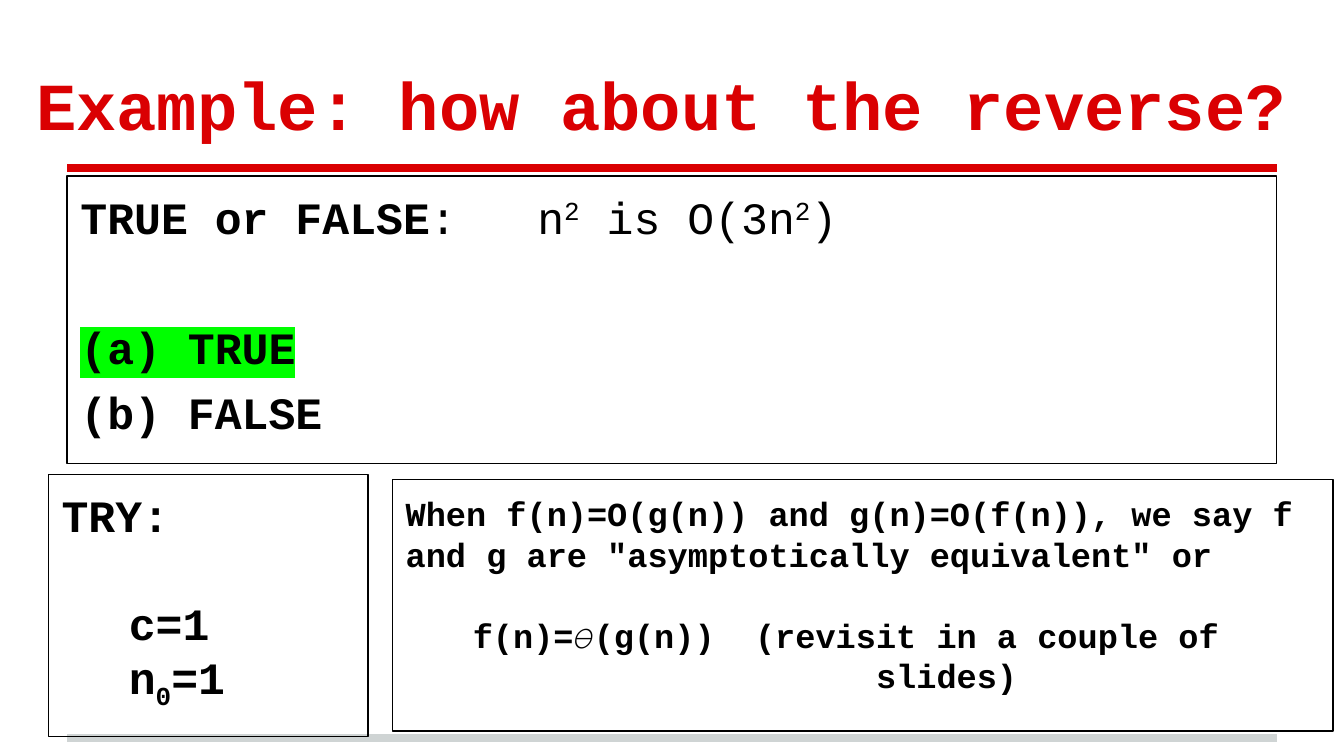
from dataclasses import dataclass

from lxml import etree
from pptx import Presentation
from pptx.dml.color import RGBColor
from pptx.enum import shapes, text
from pptx.oxml.ns import qn
from pptx.util import Pt

PX = 4572  # 200 px to the inch
INSET = 20
FONT = "Courier New"
RED, GREY, BLACK, GREEN = "DA0002", "CFD4D4", "000000", "00FF00"


@dataclass(frozen=True)
class Run:
    words: str
    bold: bool = True
    base: int = 0
    mark: str = ""


@dataclass(frozen=True)
class Para:
    runs: tuple[Run, ...]
    gap: int = 0
    indent: int = 0
    tab: int = 0


@dataclass(frozen=True)
class Box:
    left: int
    top: int
    width: int
    height: int
    size: int
    paras: tuple[Para, ...]


@dataclass(frozen=True)
class Rule:
    y: int
    color: str


RULES = (Rule(1098, GREY), Rule(250, RED))

TITLE = Box(34, 46, 1928, 188, 36, (Para((Run("Example: how about the reverse?"),)),))

BOXES = (
    Box(100, 262, 1800, 428, 24, (
        Para((
            Run("TRUE or FALSE"),
            Run(":\tn", False),
            Run("2", False, 30),
            Run(" is O(3n", False),
            Run("2", False, 30),
            Run(")", False),
        ), tab=680),
        Para((Run("(a) TRUE", mark=GREEN),), gap=41),
        Para((Run("(b) FALSE"),), gap=6),
    )),
    Box(72, 706, 476, 390, 24, (
        Para((Run("TRY:"),)),
        Para((Run("c=1"),), gap=29, indent=100),
        Para((Run("n"), Run("0", base=-25), Run("=1")), indent=100),
    )),
    Box(584, 714, 1400, 374, 18, (
        Para((Run("When f(n)=O(g(n)) and g(n)=O(f(n)), we say f and g are "
                  "\"asymptotically equivalent\" or"),)),
        Para((Run("f(n)=𝛳(g(n))  (revisit in a couple of"),), gap=22, indent=100),
        Para((Run("slides)"),), indent=700),
    )),
)


def rgb(color: str) -> RGBColor:
    return RGBColor.from_string(color)


def add_run(para, run: Run, size: int, color: str) -> None:
    item = para.add_run()
    item.text = run.words
    font = item.font
    font.size, font.bold = Pt(size), run.bold
    font.color.rgb = rgb(color)
    font.name = FONT
    props = item._r.get_or_add_rPr()
    if run.base:
        props.set("baseline", str(run.base * 1000))
    if run.mark:
        mark = etree.Element(qn("a:highlight"))
        etree.SubElement(mark, qn("a:srgbClr")).set("val", run.mark)
        props.find(qn("a:latin")).addprevious(mark)


def fill_text(shape, box: Box, color: str, anchor: text.MSO_ANCHOR) -> None:
    frame = shape.text_frame
    frame.word_wrap = True
    frame.vertical_anchor = anchor
    frame.margin_left = frame.margin_right = INSET * PX
    frame.margin_top = frame.margin_bottom = INSET * PX
    for index, item in enumerate(box.paras):
        para = frame.add_paragraph() if index else frame.paragraphs[0]
        para.alignment = text.PP_ALIGN.LEFT
        props = para._p.get_or_add_pPr()
        if item.gap:
            para.space_before = Pt(item.gap)
        if item.indent:
            props.set("marL", str(item.indent * PX))
            props.set("indent", "0")
        if item.tab:
            tabs = etree.SubElement(props, qn("a:tabLst"))
            stop = etree.SubElement(tabs, qn("a:tab"))
            stop.set("pos", str(item.tab * PX))
            stop.set("algn", "l")
        for run in item.runs:
            add_run(para, run, box.size, color)


def place(box: Box) -> tuple[int, ...]:
    return tuple(n * PX for n in (box.left, box.top, box.width, box.height))


def add_rule(slide, rule: Rule) -> None:
    line = slide.shapes.add_connector(
        shapes.MSO_CONNECTOR.STRAIGHT, 100 * PX, rule.y * PX, 1900 * PX, rule.y * PX)
    line.line.color.rgb = rgb(rule.color)
    line.line.width = Pt(4)
    etree.SubElement(line._element.spPr, qn("a:effectLst"))


def add_title(slide, box: Box) -> None:
    shape = slide.shapes.add_textbox(*place(box))
    fill_text(shape, box, RED, text.MSO_ANCHOR.BOTTOM)


def add_box(slide, box: Box) -> None:
    shape = slide.shapes.add_shape(shapes.MSO_SHAPE.RECTANGLE, *place(box))
    shape.shadow.inherit = False
    shape.fill.background()
    shape.line.color.rgb = rgb(BLACK)
    shape.line.width = Pt(0.75)
    fill_text(shape, box, BLACK, text.MSO_ANCHOR.TOP)


def main() -> None:
    deck = Presentation()
    deck.slide_width, deck.slide_height = 2000 * PX, 1125 * PX
    slide = deck.slides.add_slide(deck.slide_layouts[6])
    for rule in RULES:
        add_rule(slide, rule)
    add_title(slide, TITLE)
    for box in BOXES:
        add_box(slide, box)
    deck.save("out.pptx")


if __name__ == "__main__":
    main()
